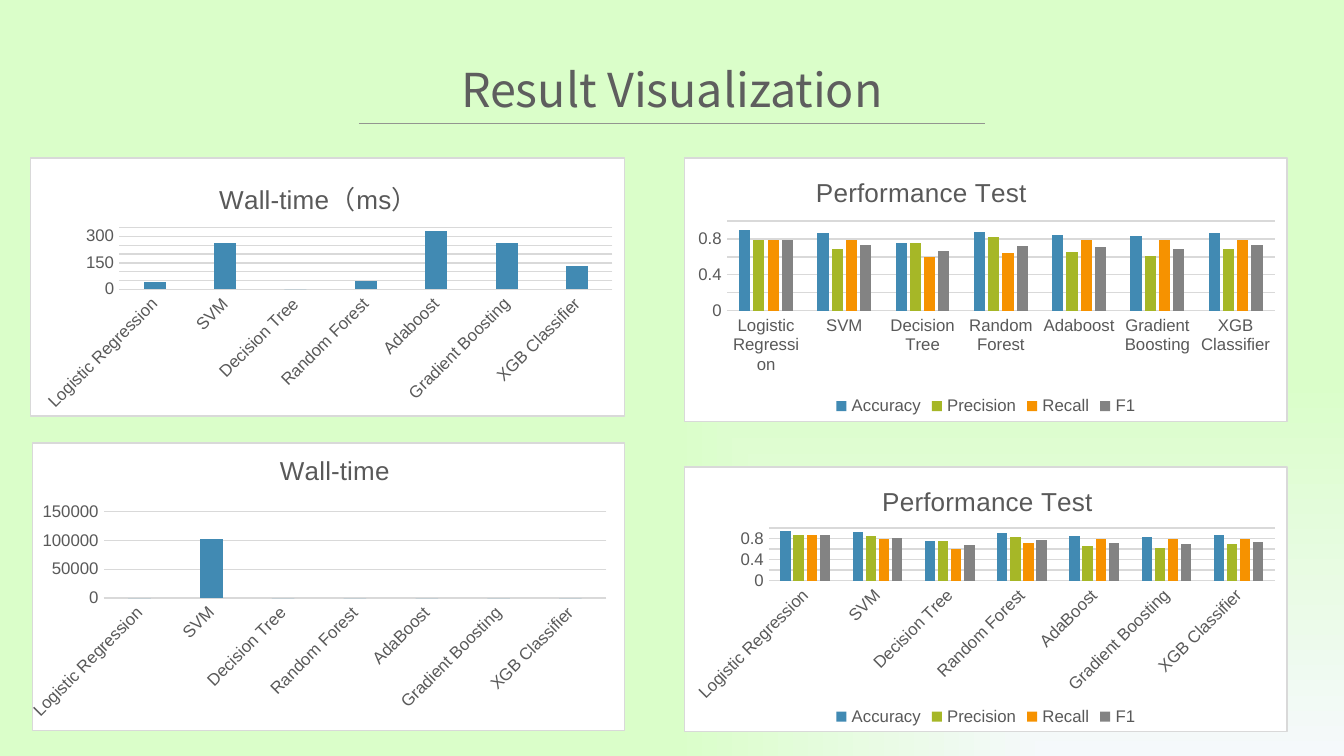
import pptx
import pptx.chart.data
import pptx.dml.color
import pptx.enum.chart
import pptx.enum.shapes
import pptx.enum.text
import pptx.oxml
import pptx.oxml.ns
import pptx.util
from pptx.util import Inches

RGBColor = pptx.dml.color.RGBColor
MINT = RGBColor(0xDA, 0xFE, 0xC9)
PALE = RGBColor(0xF5, 0xF9, 0xFB)
TITLE_GRAY = RGBColor(0x5E, 0x5E, 0x5E)
RULE_GRAY = RGBColor(0x93, 0x95, 0x90)
TEXT_GRAY = RGBColor(0x59, 0x59, 0x59)
GRID_GRAY = RGBColor(0xD9, 0xD9, 0xD9)
WHITE = RGBColor(0xFF, 0xFF, 0xFF)
BLACK = RGBColor(0, 0, 0)
SERIES_COLORS = [RGBColor(0x41, 0x8A, 0xB3), RGBColor(0xA6, 0xB7, 0x27),
                 RGBColor(0xF6, 0x92, 0x00), RGBColor(0x83, 0x83, 0x83)]

LEFT, RIGHT = (0.22, 4.43), (5.09, 4.49)  # left edge and width of each column

# box: left, top, width, height; title and plot: fractions of the chart
CHARTS = [
    dict(title="Wall-time（ms）", box=(LEFT[0], 1.17, LEFT[1], 1.93), boost="Adaboost",
         title_at=(0.31, 0.05), plot=(0.15, 0.27, 0.83, 0.24),
         top=350, step=50, slanted=True,
         series={"Wall-time（ms）": [40, 260, 0, 50, 330, 260, 130]}),
    dict(title="Wall-time", box=(LEFT[0], 3.29, LEFT[1], 2.15), boost="AdaBoost",
         title_at=(0.41, 0.02), plot=(0.12, 0.24, 0.85, 0.3),
         top=150000, step=50000, slanted=True,
         series={"Wall-time": [0, 103000, 0, 0, 0, 0, 0]}),
    dict(title="Performance Test", box=(RIGHT[0], 1.17, RIGHT[1], 1.97), boost="Adaboost",
         title_at=(0.21, 0.05), plot=(0.07, 0.24, 0.91, 0.34),
         top=1, step=0.2, slanted=False,
         series={"Accuracy": [0.9, 0.87, 0.75, 0.88, 0.85, 0.83, 0.87],
                 "Precision": [0.79, 0.69, 0.75, 0.82, 0.65, 0.61, 0.69],
                 "Recall": [0.79, 0.79, 0.6, 0.64, 0.79, 0.79, 0.79],
                 "F1": [0.79, 0.73, 0.67, 0.72, 0.71, 0.69, 0.73]}),
    dict(title="Performance Test", box=(RIGHT[0], 3.47, RIGHT[1], 1.98), boost="AdaBoost",
         title_at=(0.32, 0.05), plot=(0.14, 0.23, 0.84, 0.2),
         top=1, step=0.2, slanted=True,
         series={"Accuracy": [0.93, 0.92, 0.75, 0.9, 0.85, 0.83, 0.87],
                 "Precision": [0.86, 0.85, 0.75, 0.83, 0.65, 0.61, 0.69],
                 "Recall": [0.86, 0.79, 0.6, 0.71, 0.79, 0.79, 0.79],
                 "F1": [0.86, 0.81, 0.67, 0.77, 0.71, 0.69, 0.73]}),
]


def parse(xml):
    tag_end = min(xml.index(mark) for mark in "/>" if mark in xml)
    namespaces = pptx.oxml.ns.nsdecls("a", "c")
    return pptx.oxml.parse_xml(f"{xml[:tag_end]} {namespaces}{xml[tag_end:]}")


def set_font(font, size, color, name="Arial"):
    font.size = pptx.util.Pt(size)
    font.name = name
    font.bold = False
    font.color.rgb = color


def set_line(line, color):
    line.color.rgb = color
    line.width = pptx.util.Pt(0.75)


def set_background(slide):
    """Gradient that spreads from the bottom right corner."""
    fill = slide.background.fill
    fill.gradient()
    for stop, color, position in zip(fill.gradient_stops, (PALE, MINT), (0, 1)):
        stop.color.rgb = color
        stop.position = position
    linear = slide.background._cSld.find(".//" + pptx.oxml.ns.qn("a:lin"))
    linear.getparent().replace(linear, parse(
        '<a:path path="rect"><a:fillToRect l="100000" t="100000"/></a:path>'))


def add_title(slide, text):
    title = slide.shapes.title
    title.left, title.top = Inches(3.15), Inches(0.4)
    title.width, title.height = Inches(3.7), Inches(0.52)
    title.text_frame.vertical_anchor = pptx.enum.text.MSO_ANCHOR.MIDDLE
    paragraph = title.text_frame.paragraphs[0]
    paragraph.alignment = pptx.enum.text.PP_ALIGN.CENTER
    run = paragraph.add_run()
    run.text = text
    set_font(run.font, 25, TITLE_GRAY, "Noto Sans CJK SC")


def add_rule(slide):
    rule = slide.shapes.add_connector(pptx.enum.shapes.MSO_CONNECTOR.STRAIGHT,
                                      Inches(2.67), Inches(0.92), Inches(7.33), Inches(0.92))
    set_line(rule.line, RULE_GRAY)
    rule._element.spPr.append(parse("<a:effectLst/>"))


def set_layout(parent, index, values, inner=False):
    """Place a chart part by fractions: x, y and optionally width, height."""
    for old in parent.findall(pptx.oxml.ns.qn("c:layout")):
        parent.remove(old)
    parts = '<c:layoutTarget val="inner"/>' if inner else ""
    parts += '<c:xMode val="edge"/><c:yMode val="edge"/>'
    parts += "".join(f'<c:{key} val="{value}"/>' for key, value in zip("xywh", values))
    parent.insert(index, parse(
        f"<c:layout><c:manualLayout>{parts}</c:manualLayout></c:layout>"))


def style_axes(chart, top, step, slanted):
    for axis in (chart.category_axis, chart.value_axis):
        axis.major_tick_mark = pptx.enum.chart.XL_TICK_MARK.NONE
        axis.minor_tick_mark = pptx.enum.chart.XL_TICK_MARK.NONE
        set_font(axis.tick_labels.font, 9, TEXT_GRAY)
    set_line(chart.category_axis.format.line, GRID_GRAY)
    angle = -45 if slanted else 0
    body = chart.category_axis._element.find(".//" + pptx.oxml.ns.qn("a:bodyPr"))
    body.set("rot", str(angle * 60000))
    values = chart.value_axis
    values.minimum_scale, values.maximum_scale, values.major_unit = 0, top, step
    values.format.line.fill.background()
    set_line(values.major_gridlines.format.line, GRID_GRAY)


def add_column_chart(slide, title, box, boost, title_at, plot, top, step, slanted, series):
    data = pptx.chart.data.CategoryChartData()
    data.categories = ["Logistic Regression", "SVM", "Decision Tree", "Random Forest",
                       boost, "Gradient Boosting", "XGB Classifier"]
    for name, values in series.items():
        data.add_series(name, values)
    chart = slide.shapes.add_chart(pptx.enum.chart.XL_CHART_TYPE.COLUMN_CLUSTERED,
                                   *map(Inches, box), data).chart
    set_font(chart.font, 10, BLACK)

    # White panel with a thin border
    chart_space = chart._chartSpace
    chart_space.find(pptx.oxml.ns.qn("c:chart")).addnext(parse(
        f'<c:spPr><a:solidFill><a:srgbClr val="{WHITE}"/></a:solidFill><a:ln w="9525">'
        f'<a:solidFill><a:srgbClr val="{GRID_GRAY}"/></a:solidFill></a:ln></c:spPr>'))

    # Chart title
    run = chart.chart_title.text_frame.paragraphs[0].add_run()
    run.text = title
    set_font(run.font, 14, TEXT_GRAY)
    set_layout(chart.chart_title._element, 1, title_at)

    # Columns and axes
    columns = chart.plots[0]
    columns.gap_width, columns.overlap = 219, -27
    columns.vary_by_categories = False
    for one_series, color in zip(columns.series, SERIES_COLORS):
        one_series.format.fill.solid()
        one_series.format.fill.fore_color.rgb = color
    style_axes(chart, top, step, slanted)
    set_layout(chart_space.find(".//" + pptx.oxml.ns.qn("c:plotArea")), 0, plot, inner=True)

    # Legend only where there are several series
    chart.has_legend = len(series) > 1
    if chart.has_legend:
        chart.legend.position = pptx.enum.chart.XL_LEGEND_POSITION.BOTTOM
        chart.legend.include_in_layout = False
        set_font(chart.legend.font, 9, TEXT_GRAY)


def main():
    presentation = pptx.Presentation()
    # Widescreen, 16:9
    presentation.slide_width = Inches(10)
    presentation.slide_height = Inches(10 * 9 / 16)
    slide = presentation.slides.add_slide(presentation.slide_layouts[5])
    set_background(slide)
    add_title(slide, "Result Visualization")
    add_rule(slide)
    for chart in CHARTS:
        add_column_chart(slide, **chart)
    presentation.save("out.pptx")


if __name__ == "__main__":
    main()
